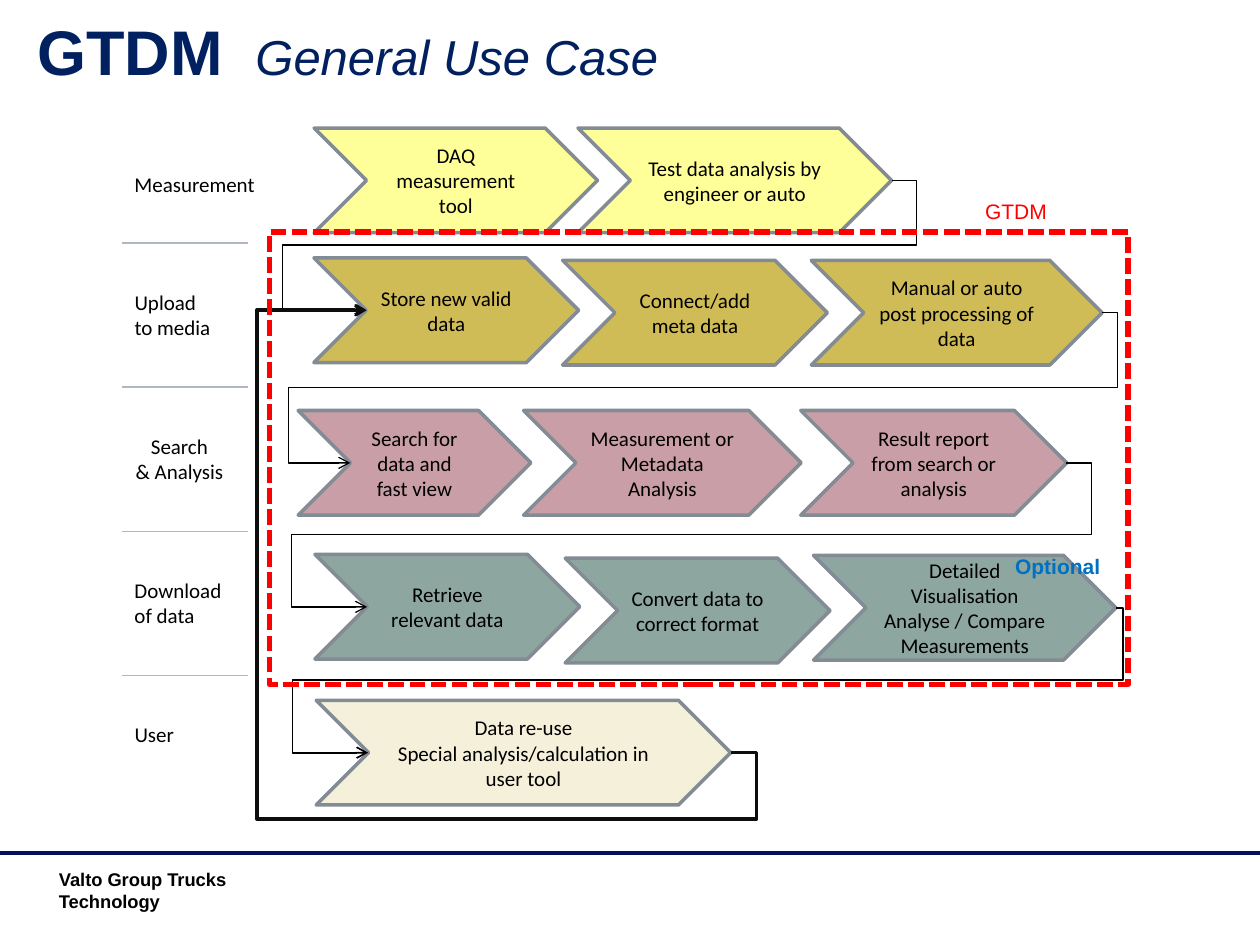
import pptx
import pptx.util
import pptx.dml.color
import pptx.enum.dml
import pptx.enum.shapes
import pptx.enum.text
import lxml.etree

Pt = pptx.util.Pt
SHAPES = pptx.enum.shapes.MSO_SHAPE
CONNECTORS = pptx.enum.shapes.MSO_CONNECTOR
ALIGN = pptx.enum.text.PP_ALIGN
ANCHOR = pptx.enum.text.MSO_ANCHOR
FIT = pptx.enum.text.MSO_AUTO_SIZE.SHAPE_TO_FIT_TEXT
colour = pptx.dml.color.RGBColor.from_string
element = lxml.etree.SubElement
qn = pptx.oxml.ns.qn

deck = pptx.Presentation()
deck.slide_width, deck.slide_height = Pt(720), Pt(540)
page = deck.slides.add_slide(deck.slide_layouts[6])


def write(box, text, size=12, font="Calibri", ink="000000", bold=False, align=ALIGN.LEFT):
    box.text_frame.text = text
    for para in box.text_frame.paragraphs:
        para.alignment = align
        for span in para.runs:
            span.font.size, span.font.name, span.font.bold = Pt(size), font, bold
            span.font.color.rgb = colour(ink)


def connect(kind, start, end, ink, width):
    line = page.shapes.add_connector(kind, *(Pt(value) for value in start + end))
    line.line.color.rgb = colour(ink)
    line.line.width = Pt(width)
    element(line._element.spPr, qn("a:effectLst"))
    return line


# Footer rule and text
connect(CONNECTORS.STRAIGHT, (0, 487.4), (720, 487.4), "000F60", 2)
footer = page.shapes.add_textbox(Pt(26.6), Pt(492.5), Pt(168), Pt(17.3))
footer.text_frame.word_wrap = False
write(footer, "Valto Group Trucks Technology", 10.5, "Arial", bold=True)

# Process steps, one row per phase: fill, then left, top, width, text
rows = [
    ("FFFF99", [(179.5, 73.2, 162, "DAQ measurement tool"),
                (330.3, 73.2, 179.2, "Test data analysis by engineer or auto")]),
    ("D0BC56", [(179.4, 147.4, 151.3, "Store new valid data"),
                (321.5, 148.8, 151.3, "Connect/add meta data"),
                (463.6, 148.8, 166.2, "Manual or auto post processing of data")]),
    ("CA9EA7", [(170.4, 234.6, 133, "Search for data and fast view"),
                (299.2, 234.6, 158.6, "Measurement or Metadata Analysis"),
                (457.6, 234.6, 152, "Result report from search or analysis")]),
    ("8EA6A0", [(180, 316.8, 151.3, "Retrieve\vrelevant data"),
                (323, 319, 151.3, "Convert data to correct format"),
                (464.9, 317.4, 172.8,
                 "Detailed Visualisation Analyse / Compare Measurements")]),
    ("F5F0DA", [(180.7, 400.2, 236.9,
                 "Data re-use\vSpecial analysis/calculation in user tool")]),
]
for fill, steps in rows:
    for left, top, width, text in steps:
        step = page.shapes.add_shape(SHAPES.CHEVRON, Pt(left), Pt(top), Pt(width), Pt(59.8))
        step.shadow.inherit = False
        step.fill.solid()
        step.fill.fore_color.rgb = colour(fill)
        step.line.color.rgb = colour("838B94")
        step.line.width = Pt(2)
        step.text_frame.vertical_anchor = ANCHOR.MIDDLE
        write(step, text, align=ALIGN.CENTER)

# Flow arrows: start, right bend x, middle y, left bend x, end, colour, width
flows = [
    ((509.6, 103.1), 523.8, 140, 161.8, (209.4, 177.3), "000000", 0.75),
    ((629.6, 178.7), 638.5, 221.5, 164.9, (200.2, 264.5), "000000", 0.75),
    ((609.4, 264.5), 623.6, 305.4, 166.5, (209.8, 346.8), "000000", 0.75),
    ((637.8, 347.3), 641.7, 388.6, 167.1, (210.4, 430.1), "000000", 1),
    ((417.5, 430.1), 432.3, 468, 146.8, (209.4, 177.3), "0D0D0D", 2),
]
for start, right, middle, left, end, ink, width in flows:
    flow = connect(CONNECTORS.ELBOW, start, end, ink, width)
    run, rise = end[0] - start[0], end[1] - start[1]
    bends = [(right - start[0]) / run, (middle - start[1]) / rise, (left - start[0]) / run]
    geometry = flow._element.spPr.find(qn("a:prstGeom"))
    geometry.set("prst", "bentConnector5")
    guides = geometry.find(qn("a:avLst"))
    if guides is None:
        guides = element(geometry, qn("a:avLst"))
    for number, bend in enumerate(bends, 1):
        element(guides, qn("a:gd"), name=f"adj{number}", fmla=f"val {round(bend * 100000)}")
    element(flow.line._get_or_add_ln(), qn("a:tailEnd"), type="arrow")

# Phase labels
labels = [
    (94.3, 84.2, 21.8, "Measurement", ALIGN.LEFT),
    (162, 58.3, 36.4, "Upload\vto media", ALIGN.LEFT),
    (244.1, 65.5, 36.4, "Search\n& Analysis", ALIGN.CENTER),
    (326.2, 64.8, 36.4, "Download\vof data", ALIGN.LEFT),
    (409, 37.4, 21.8, "User", ALIGN.LEFT),
]
for top, width, height, text, align in labels:
    label = page.shapes.add_textbox(Pt(69.8), Pt(top), Pt(width), Pt(height))
    label.text_frame.word_wrap = False
    label.text_frame.auto_size = FIT
    write(label, text, align=align)

# Dividers between phases
for number in range(4):
    height = 138.8 + 82.4 * number
    connect(CONNECTORS.STRAIGHT, (69.8, height), (141.8, height), "ADB8C4", 0.75)

# Dashed system boundary
boundary = page.shapes.add_shape(SHAPES.RECTANGLE, Pt(153.9), Pt(132.6), Pt(490.8), Pt(258.6))
boundary.shadow.inherit = False
boundary.fill.background()
boundary.line.color.rgb = colour("FF0000")
boundary.line.width = Pt(3)
boundary.line.dash_style = pptx.enum.dml.MSO_LINE.SQUARE_DOT

# Boundary notes
for left, top, width, text, ink, bold in [
    (573, 312.5, 87, "Optional", "0070C0", True),
    (555.8, 109.8, 73.4, "GTDM", "FF0000", False),
]:
    note = page.shapes.add_textbox(Pt(left), Pt(top), Pt(width), Pt(21.8))
    note.text_frame.word_wrap = True
    note.text_frame.auto_size = FIT
    write(note, text, 12, "Arial", ink, bold)

# Title, with a tab stop between its two parts
title = page.shapes.add_textbox(Pt(14.4), Pt(3.6), Pt(690.5), Pt(51))
title.text_frame.word_wrap = True
title.text_frame.auto_size = FIT
write(title, "GTDM", 36, "Arial", "002060", True)
para = title.text_frame.paragraphs[0]
stops = element(para._p.get_or_add_pPr(), qn("a:tabLst"))
element(stops, qn("a:tab"), pos=str(Pt(124.5)), algn="l")
span = para.add_run()
span.text = "\tGeneral Use Case"
span.font.size, span.font.name, span.font.italic = Pt(28), "Arial", True
span.font.color.rgb = colour("002060")

deck.save("out.pptx")
